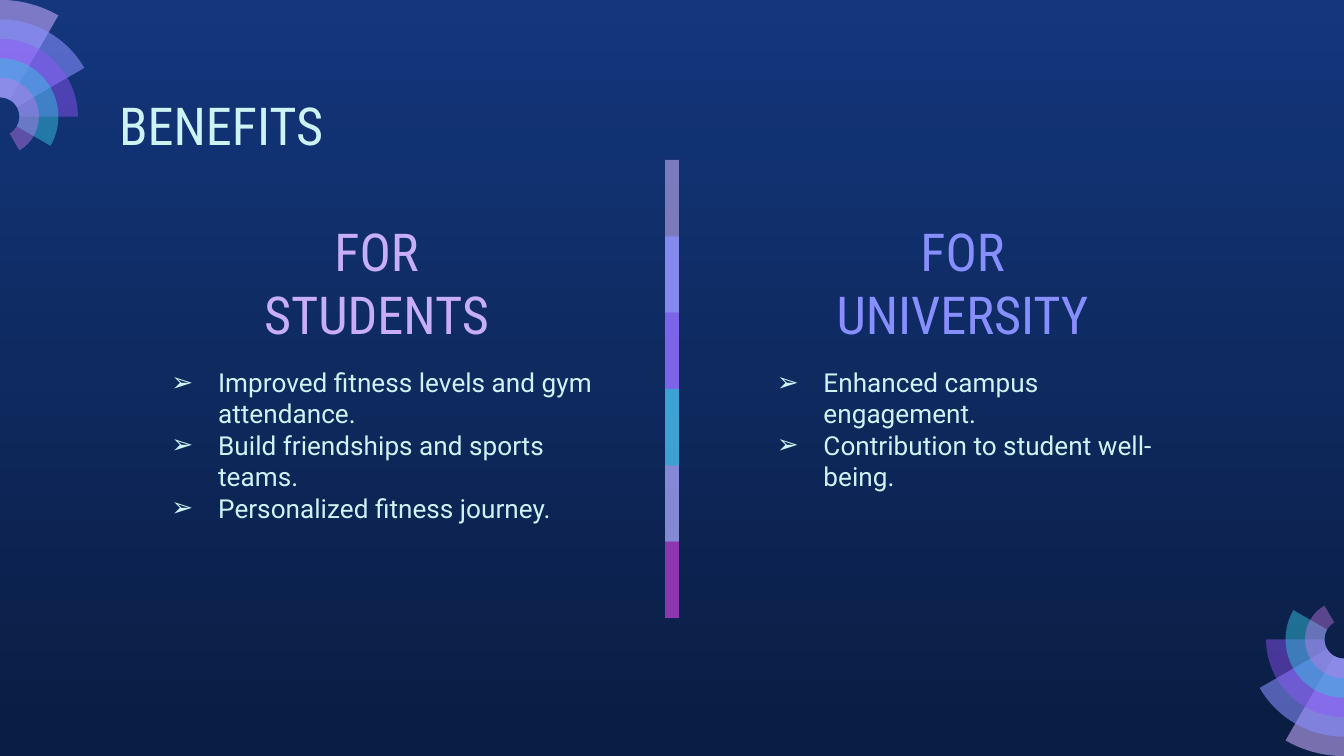
"""Build the benefits slide: two lists, a striped divider and two corner fans."""
import math
from dataclasses import dataclass

import lxml.etree
import pptx
import pptx.dml.color
import pptx.enum.shapes
import pptx.enum.text
import pptx.oxml.ns
import pptx.util

Pt = pptx.util.Pt
qn = pptx.oxml.ns.qn
ALIGN = pptx.enum.text.PP_ALIGN
ANCHOR = pptx.enum.text.MSO_ANCHOR

HUES = {
    "top": "13367C", "base": "0A1D42", "text": "CEF3F5", "lilac": "C8ACFD",
    "mauve": "C8AEF8", "blue": "878FFF", "violet": "9154F8",
    "cyan": "35C2DF", "pink": "CA7BEB", "plum": "972CB4",
}
RING = 10.43
BAR = 40.9


@dataclass
class Tint:
    hue: str
    alpha: int


@dataclass
class Label:
    text: str
    box: tuple[float, float, float, float]
    hue: str = "text"
    font: str = "Roboto Condensed"
    size: float = 28
    align: ALIGN = ALIGN.LEFT
    anchor: ANCHOR = ANCHOR.TOP
    bullet: str = ""


FAN = [Tint("lilac", 58), Tint("blue", 58), Tint("violet", 46),
       Tint("cyan", 49), Tint("pink", 42)]
BARS = [Tint("mauve", 59), Tint("blue", 74), Tint("violet", 53),
        Tint("cyan", 76), Tint("pink", 56), Tint("plum", 74)]
HEAD = dict(align=ALIGN.CENTER, anchor=ANCHOR.BOTTOM)
LIST = dict(font="Roboto", size=14, bullet="➢")
LABELS = [
    Label("BENEFITS", (56.8, 42.8, 607, 45.4)),
    Label("Enhanced campus engagement.\nContribution to student well-being.",
          (398.1, 189.1, 235.4, 80.6), **LIST),
    Label("Improved fitness levels and gym attendance.\n"
          "Build friendships and sports teams.\nPersonalized fitness journey.",
          (73.8, 189.1, 257, 101.5), **LIST),
    Label("FOR STUDENTS", (117.1, 146.6, 169.2, 45.4), "mauve", **HEAD),
    Label("FOR UNIVERSITY", (420.2, 146.6, 190.8, 45.4), "blue", **HEAD),
]


def rgb(hue: str) -> pptx.dml.color.RGBColor:
    """Return the named colour."""
    return pptx.dml.color.RGBColor.from_string(HUES[hue])


def paint(shape, tint: Tint) -> None:
    """Give a shape a translucent fill with no line or shadow."""
    shape.shadow.inherit = False
    shape.line.fill.background()
    shape.fill.solid()
    shape.fill.fore_color.rgb = rgb(tint.hue)
    tone = shape._element.spPr.find(".//" + qn("a:srgbClr"))
    lxml.etree.SubElement(tone, qn("a:alpha"), val=str(tint.alpha * 1000))


def arc(r: float, start: float, end: float) -> list[tuple[float, float]]:
    """Return two handles and the end of a curve as radius and angle."""
    k = 4 / 3 * math.tan(math.radians(end - start) / 4)
    lean = math.degrees(math.atan(k))
    far = r * math.hypot(1, k)
    return [(far, start + lean), (far, end - lean), (r, end)]


def bend(shape, sizes: list[int]) -> None:
    """Turn each run of three line steps into one curve."""
    steps = iter(shape._element.findall(".//" + qn("a:lnTo")))
    for size in sizes:
        group = [next(steps) for _ in range(size)]
        if size == 3:
            curve = lxml.etree.Element(qn("a:cubicBezTo"))
            group[0].addprevious(curve)
            for step in group:
                curve.append(step[0])
                step.getparent().remove(step)


def draw_fan(slide, x: float, y: float, turn: int) -> None:
    """Draw nested ring sectors that shrink as they sweep further."""
    def spot(r: float, deg: float) -> tuple[int, int]:
        """Return the point at a radius and clockwise angle from the top."""
        a = math.radians(deg + turn)
        return Pt(x + r * math.sin(a)), Pt(y - r * math.cos(a))

    for i, tint in enumerate(FAN):
        sweep, outer = 30 * (i + 1), RING * (6 - i)
        stops = [0, sweep] if sweep <= 90 else [0, 90, sweep]
        pairs = list(zip(stops, stops[1:]))
        parts = [arc(outer, b, a) for a, b in reversed(pairs)]
        parts += [[(RING, 0)]] + [arc(RING, a, b) for a, b in pairs]
        form = slide.shapes.build_freeform(*spot(outer, sweep))
        form.add_line_segments([spot(*p) for part in parts for p in part])
        shape = form.convert_to_shape()
        bend(shape, [len(part) for part in parts])
        paint(shape, tint)


def draw_bars(slide) -> None:
    """Draw the divider as overlapping bars, the last one half as tall."""
    for i, tint in enumerate(BARS):
        tall = BAR if i == len(BARS) - 1 else 2 * BAR
        bar = slide.shapes.add_shape(
            pptx.enum.shapes.MSO_SHAPE.RECTANGLE,
            Pt(356.3), Pt(85.7 + BAR * i), Pt(7.4), Pt(tall))
        paint(bar, tint)


def add_mark(para, mark: str) -> None:
    """Give a paragraph a hanging bullet."""
    props = para._p.get_or_add_pPr()
    props.set("marL", str(Pt(36)))
    props.set("indent", str(-Pt(25)))
    tone = lxml.etree.SubElement(props, qn("a:buClr"))
    lxml.etree.SubElement(tone, qn("a:srgbClr"), val=HUES["text"])
    lxml.etree.SubElement(props, qn("a:buFont"), typeface="Roboto")
    lxml.etree.SubElement(props, qn("a:buChar"), char=mark)


def draw_label(slide, label: Label) -> None:
    """Draw a text box, bulleted where the label asks for it."""
    frame = slide.shapes.add_textbox(*map(Pt, label.box)).text_frame
    frame.word_wrap = True
    frame.vertical_anchor = label.anchor
    frame.margin_left = frame.margin_right = Pt(7.2)
    frame.margin_top = frame.margin_bottom = Pt(7.2)
    frame.text = label.text
    for para in frame.paragraphs:
        para.alignment = label.align
        if label.bullet:
            add_mark(para, label.bullet)
        for run in para.runs:
            run.font.name = label.font
            run.font.size = Pt(label.size)
            run.font.color.rgb = rgb(label.hue)


def main() -> None:
    """Assemble and save the slide."""
    deck = pptx.Presentation()
    deck.slide_width, deck.slide_height = Pt(720), Pt(405)
    slide = deck.slides.add_slide(deck.slide_layouts[6])
    fill = slide.background.fill
    fill.gradient()
    fill.gradient_angle = 270
    for stop, hue, place in zip(fill.gradient_stops, ("top", "base"), (0, 1)):
        stop.color.rgb = rgb(hue)
        stop.position = place
    draw_fan(slide, 720, 342.5, 180)
    draw_fan(slide, 0, 62.5, 0)
    for label in LABELS:
        draw_label(slide, label)
    draw_bars(slide)
    deck.save("out.pptx")


if __name__ == "__main__":
    main()
